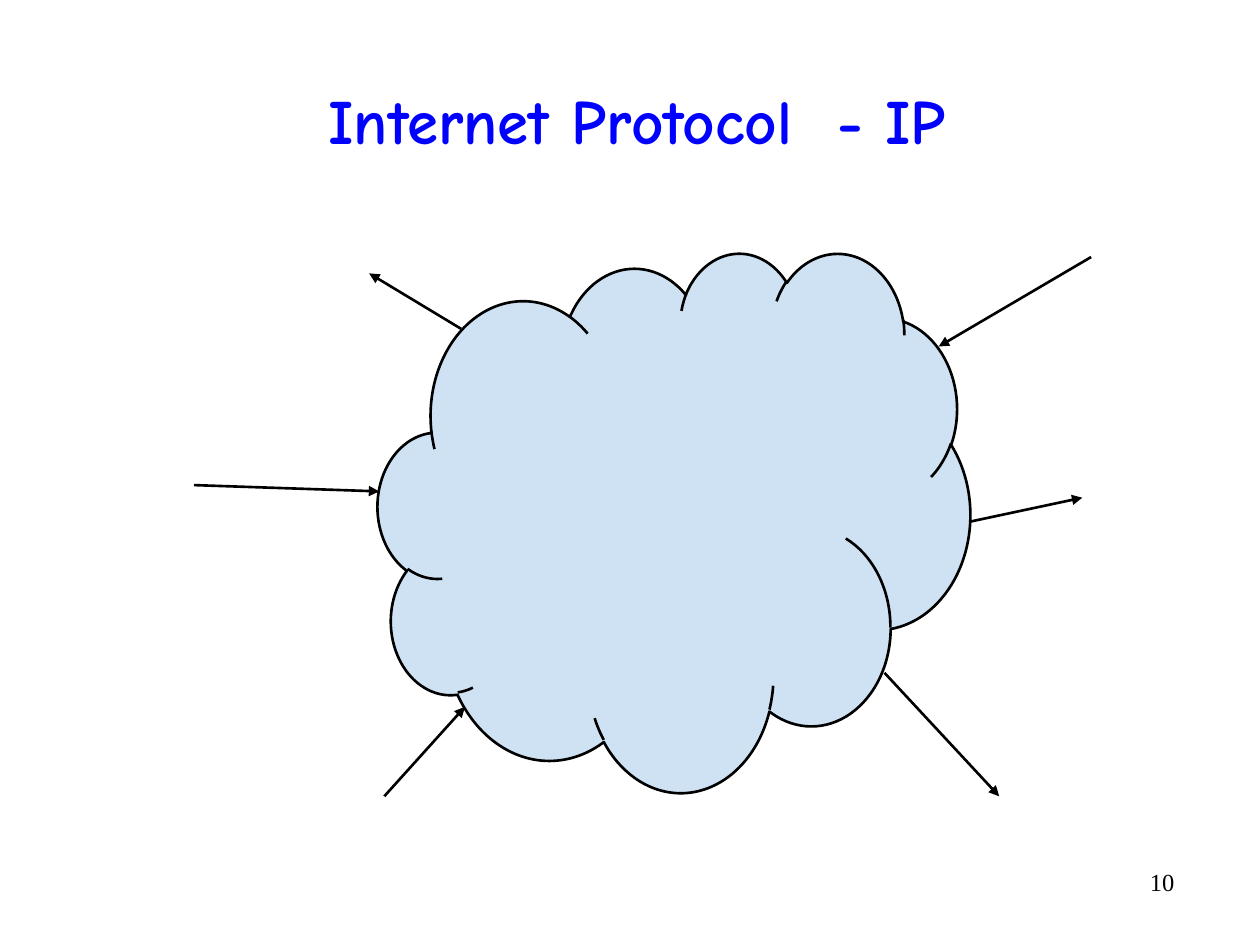
from lxml.etree import SubElement
from pptx import Presentation
from pptx.dml.color import RGBColor
from pptx.enum.shapes import MSO_CONNECTOR, MSO_SHAPE
from pptx.enum.text import MSO_ANCHOR, PP_ALIGN
from pptx.oxml.ns import qn
from pptx.util import Inches, Pt

BLACK = "000000"
TITLE_FORMAT = {"name": "Comic Neue", "size": Pt(36), "bold": True}
NUMBER_FORMAT = {"name": "Times New Roman", "size": Pt(14)}

# Packets entering and leaving the network: (start, end), arrowhead at end
PACKET_ROUTES = [
    ((1.54, 3.85), (3.01, 3.9)),
    ((7.7, 4.14), (8.59, 3.95)),
    ((3.66, 2.61), (2.93, 2.17)),
    ((8.66, 2.04), (7.45, 2.75)),
    ((3.05, 6.32), (3.69, 5.61)),
    ((7.02, 5.34), (7.93, 6.32)),
]


def color(hex_code):
    return RGBColor.from_string(hex_code)


def set_outline(line):
    line.color.rgb = color(BLACK)
    line.width = Pt(1.5)


def write_text(shape, text, align, anchor, hex_code, font_format):
    frame = shape.text_frame
    frame.word_wrap = True
    frame.vertical_anchor = anchor
    para = frame.paragraphs[0]
    para.alignment = align
    span = para.add_run()
    span.text = text
    span.font.color.rgb = color(hex_code)
    for name, value in font_format.items():
        setattr(span.font, name, value)


def add_title(page, box):
    title = page.shapes.title
    title.left, title.top, title.width, title.height = map(Inches, box)
    write_text(title, "Internet Protocol  - IP", PP_ALIGN.CENTER,
               MSO_ANCHOR.MIDDLE, "0000FF", TITLE_FORMAT)


def add_cloud(page, box):
    cloud = page.shapes.add_shape(MSO_SHAPE.CLOUD, *map(Inches, box))
    cloud.shadow.inherit = False
    cloud.fill.solid()
    cloud.fill.fore_color.rgb = color("CFE2F3")
    set_outline(cloud.line)


def add_arrow(page, start, end):
    arrow = page.shapes.add_connector(
        MSO_CONNECTOR.STRAIGHT, *map(Inches, start + end))
    set_outline(arrow.line)
    SubElement(arrow.line._get_or_add_ln(), qn("a:tailEnd"), type="triangle")
    SubElement(arrow._element.spPr, qn("a:effectLst"))


def add_page_number(page, box):
    number = page.shapes.add_textbox(*map(Inches, box))
    write_text(number, "10", PP_ALIGN.RIGHT, MSO_ANCHOR.TOP, BLACK, NUMBER_FORMAT)


def main():
    deck = Presentation()
    deck.slide_width, deck.slide_height = Inches(10), Inches(7.5)
    page = deck.slides.add_slide(deck.slide_layouts[5])

    add_title(page, (0.43, 0.44, 9.25, 1.01))
    add_cloud(page, (3, 2, 4.7, 4.28))
    for start, end in PACKET_ROUTES:
        add_arrow(page, start, end)
    add_page_number(page, (8.42, 6.83, 1, 0.42))

    deck.save("out.pptx")


if __name__ == "__main__":
    main()
